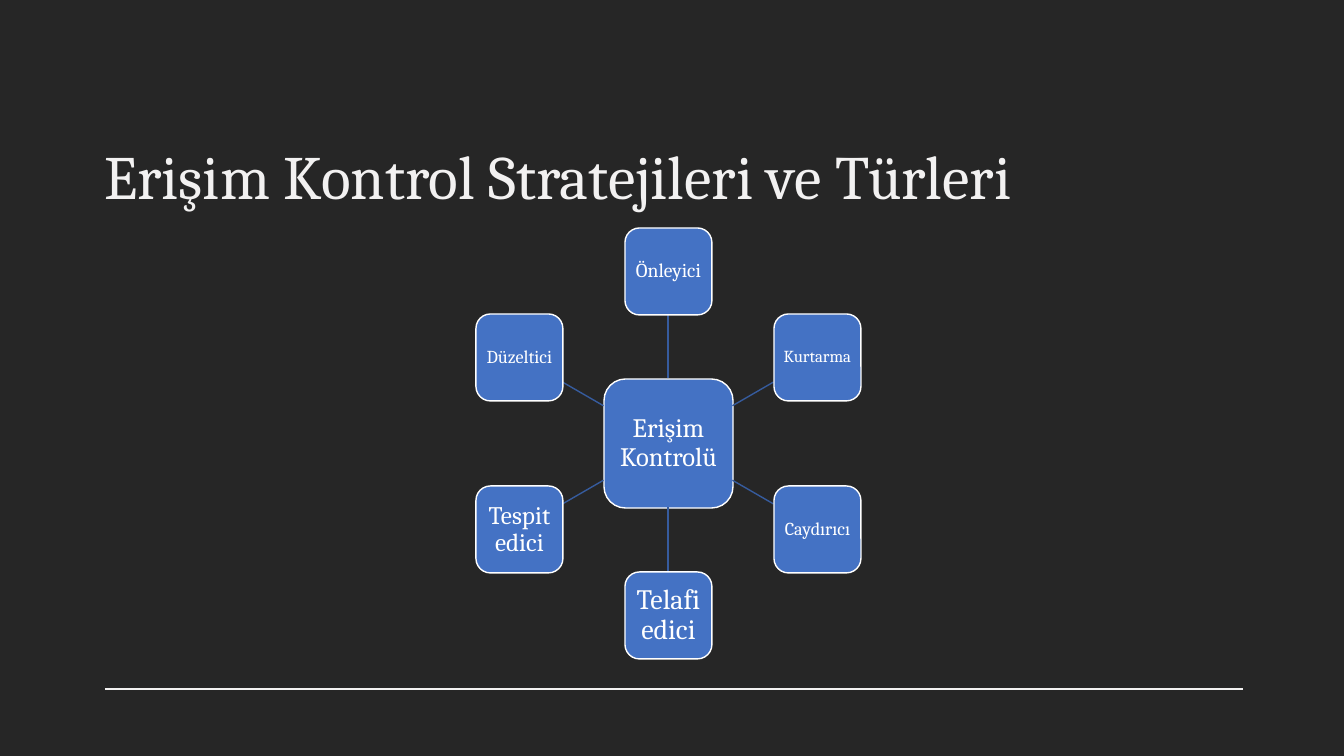
from math import cos, radians, sin

from lxml import etree
from pptx import Presentation
from pptx.dml.color import RGBColor
from pptx.enum.shapes import MSO_CONNECTOR, MSO_SHAPE
from pptx.enum.text import MSO_ANCHOR, PP_ALIGN
from pptx.oxml.ns import qn
from pptx.util import Pt

STRAIGHT = MSO_CONNECTOR.STRAIGHT
ROUNDED = MSO_SHAPE.ROUNDED_RECTANGLE
LEFT, CENTER = PP_ALIGN.LEFT, PP_ALIGN.CENTER
MIDDLE, BOTTOM = MSO_ANCHOR.MIDDLE, MSO_ANCHOR.BOTTOM
SCALE = 914400 / 100.8
FONT = "Cambria"
COLORS = {
    name: RGBColor.from_string(value)
    for name, value in {
        "background": "262626",
        "title": "F2F1F1",
        "node": "4472C4",
        "spoke": "365B9D",
        "white": "FFFFFF",
    }.items()
}
HUB_X, HUB_Y = 668, 443
HUB_SIZE, NODE_SIZE, RADIUS = 129, 87, 172


def add_line(start, end, color, width):
    points = [round(value * SCALE) for value in (*start, *end)]
    line = page.shapes.add_connector(STRAIGHT, *points)
    line.line.color.rgb = COLORS[color]
    line.line.width = Pt(width)
    etree.SubElement(line._element.spPr, qn("a:effectLst"))


def add_node(x, y, size, text, font_size):
    corner = [round((value - size // 2) * SCALE) for value in (x, y)]
    side = round(size * SCALE)
    node = page.shapes.add_shape(ROUNDED, *corner, side, side)
    node.shadow.inherit = False
    node.fill.solid()
    node.fill.fore_color.rgb = COLORS["node"]
    node.line.color.rgb = COLORS["white"]
    node.line.width = Pt(1)
    frame = node.text_frame
    frame.word_wrap = True
    frame.vertical_anchor = MIDDLE
    inset = round(round(font_size * 0.28) * SCALE)
    frame.margin_left = frame.margin_right = inset
    frame.margin_top = frame.margin_bottom = inset
    frame.text = text
    para = frame.paragraphs[0]
    para.alignment = CENTER
    para.line_spacing = 0.9
    para.font.name = FONT
    para.font.size = Pt(font_size)
    para.font.color.rgb = COLORS["white"]


deck = Presentation()
deck.slide_width = round(1344 * SCALE)
deck.slide_height = round(756 * SCALE)
page = deck.slides.add_slide(deck.slide_layouts[5])
page.background.fill.solid()
page.background.fill.fore_color.rgb = COLORS["background"]

add_line((105, 689), (1243, 689), "title", 0.85)

title = page.shapes.title
title.left, title.top, title.width, title.height = [
    round(value * SCALE) for value in (94, 97, 1149, 120)
]
title.text_frame.text = "Erişim Kontrol Stratejileri ve Türleri"
title.text_frame.vertical_anchor = BOTTOM
heading = title.text_frame.paragraphs[0]
heading.alignment = LEFT
heading.font.name = FONT
heading.font.size = Pt(44)
heading.font.color.rgb = COLORS["title"]

add_node(HUB_X, HUB_Y, HUB_SIZE, "Erişim Kontrolü", 19)

strategies = [
    ("Önleyici", 14),
    ("Kurtarma", 12),
    ("Caydırıcı", 13),
    ("Telafi edici", 20),
    ("Tespit edici", 18),
    ("Düzeltici", 13),
]
for index, (label, font_size) in enumerate(strategies):
    angle = radians(index * 360 / len(strategies) - 90)
    across, down = cos(angle), sin(angle)
    reach = max(abs(across), abs(down))
    ends = [
        (HUB_X + across * distance, HUB_Y + down * distance)
        for distance in (HUB_SIZE / 2 / reach, RADIUS - NODE_SIZE / 2 / reach)
    ]
    add_line(*ends, "spoke", 1)
    node_x = round(HUB_X + RADIUS * across)
    node_y = round(HUB_Y + RADIUS * down)
    add_node(node_x, node_y, NODE_SIZE, label, font_size)

deck.save("out.pptx")
